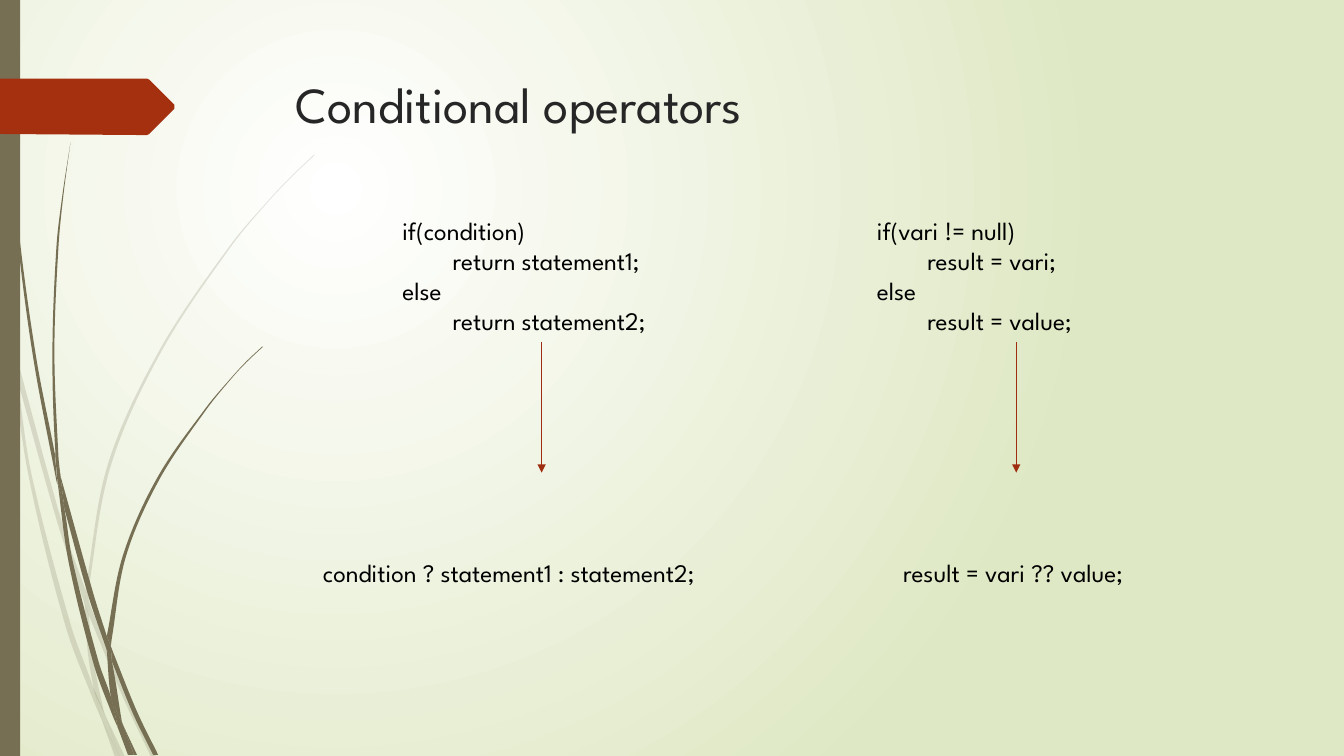
"""Build a slide that shows two conditional statements and their short operators."""
from math import dist

from lxml import etree
from pptx import Presentation
from pptx.dml.color import RGBColor
from pptx.enum.shapes import MSO_CONNECTOR, MSO_SHAPE
from pptx.enum.text import MSO_ANCHOR, PP_ALIGN
from pptx.oxml.ns import qn
from pptx.util import Cm, Pt

STRAIGHT = MSO_CONNECTOR.STRAIGHT
RECTANGLE = MSO_SHAPE.RECTANGLE
TOP = MSO_ANCHOR.TOP
LEFT = PP_ALIGN.LEFT

FONT = "League Spartan"
COLORS = {
    "centre": "FFFFFF", "edge": "DFE8C4", "stem": "766F54", "banner": "A53010",
    "arrow": "9E2E0F", "title": "262626", "code": "000000",
}
TITLE = "Conditional operators"
EXAMPLES = [
    {"left": 9.89, "short_left": 7.89, "short_width": 11.96,
     "code": [("if(condition)", 0), ("return statement1;", 1),
              ("else", 0), ("return statement2;", 1)],
     "short": "condition ? statement1 : statement2;"},
    {"left": 21.85, "short_left": 22.51, "short_width": 6.99,
     "code": [("if(vari != null)", 0), ("result = vari;", 1),
              ("else", 0), ("result = value;", 1)],
     "short": "result = vari ?? value;"},
]
CODE_TOP, CODE_WIDTH, CODE_HEIGHT = 5.29, 7.52, 3.33
ARROW_TOP, ARROW_BOTTOM = 8.63, 11.91
SHORT_TOP, SHORT_HEIGHT = 13.92, 1.02
INDENT = 1.27

GRID = 0.0254
BANNER = [(173, 108), (148, 133), (146, 134), (136, 134), (0, 133), (0, 78),
          (136, 78), (146, 78), (148, 79), (173, 104)]
PALE_BLADES = [
    ([(11, 350), (9, 322), (0, 282)], [(0, 299), (10, 344), (11, 350)]),
    ([(14, 345), (62, 520), (85, 586)], [(84, 599), (58, 522), (17, 376)]),
    ([(88, 596), (92, 607), (127, 692), (155, 751)], [(150, 751), (123, 694), (88, 610)]),
    ([(105, 711), (124, 751)], [(119, 751), (105, 711)]),
    ([(11, 350), (17, 376), (31, 469), (70, 619), (93, 683), (99, 707), (101, 714)],
     [(101, 714), (92, 693), (65, 621), (28, 470), (11, 350)]),
    ([(84, 599), (87, 646), (93, 683), (96, 692), (105, 711)],
     [(105, 711), (103, 706), (91, 646), (88, 610), (84, 599)]),
    ([(312, 153), (289, 175), (268, 197), (228, 244), (158, 348), (107, 461), (85, 584),
      (85, 586)],
     [(88, 596), (88, 584), (110, 462), (160, 349), (229, 245), (268, 198), (290, 175),
      (312, 154)]),
    ([(101, 714), (114, 751)], [(119, 751), (101, 714)]),
    ([(88, 610), (88, 596)], [(85, 586), (84, 599)]),
    ([(93, 683), (99, 707), (101, 714), (119, 751)], [(119, 751), (105, 711), (93, 683)]),
]
DARK_BLADES = [
    ([(3, 0), (4, 48), (7, 110), (17, 233), (33, 355), (56, 477), (57, 481)],
     [(55, 457), (55, 453), (36, 355), (19, 232), (8, 109), (5, 48), (4, 0)]),
    ([(60, 472), (93, 590), (106, 631)], [(106, 645), (88, 592), (64, 505)]),
    ([(110, 641), (113, 649), (136, 706), (157, 749)], [(152, 749), (132, 708), (111, 656)]),
    ([(57, 477), (64, 505), (72, 556), (98, 657), (110, 691), (116, 717), (117, 722)],
     [(117, 722), (111, 708), (93, 659), (68, 557), (57, 477)]),
    ([(70, 141), (62, 193), (56, 245), (52, 349), (55, 449), (60, 472)],
     [(60, 472), (58, 453), (54, 349), (58, 245), (63, 193), (70, 141)]),
    ([(122, 719), (136, 749)], [(133, 749), (122, 719)]),
    ([(57, 477), (64, 505)], [(60, 472), (55, 449), (55, 453), (57, 477)]),
    ([(260, 344), (245, 358), (231, 373), (204, 405), (156, 474), (122, 551), (106, 631)],
     [(110, 641), (111, 633), (125, 552), (158, 476), (205, 406), (231, 374), (245, 359),
      (261, 344)]),
    ([(117, 722), (127, 749)], [(131, 749), (117, 722)]),
    ([(106, 645), (110, 691), (116, 706), (122, 719)],
     [(122, 719), (121, 716), (111, 656), (106, 645)]),
    ([(106, 645), (111, 656)], [(110, 641), (106, 631)]),
    ([(110, 691), (116, 717), (117, 722), (130, 749)],
     [(133, 749), (122, 719), (116, 706), (110, 691)]),
]


def color(name):
    return RGBColor.from_string(COLORS[name])


def curve_controls(knots):
    """Give the two control points and the end of every curve through the knots."""
    gaps = [max(dist(a, b), 1) for a, b in zip(knots, knots[1:])]
    slopes = []
    for index in range(len(knots)):
        first, last = max(index - 1, 0), min(index + 1, len(knots) - 1)
        length = sum(gaps[first:last])
        slopes.append([(b - a) / length for a, b in zip(knots[first], knots[last])])
    for index, gap in enumerate(gaps):
        start, end = knots[index], knots[index + 1]
        yield (tuple(p + s * gap / 3 for p, s in zip(start, slopes[index])),
               tuple(p - s * gap / 3 for p, s in zip(end, slopes[index + 1])), end)


def paint(shape, name, opacity=100):
    shape.shadow.inherit = False
    shape.fill.solid()
    shape.fill.fore_color.rgb = color(name)
    shape.line.fill.background()
    if opacity < 100:
        tone = shape.element.spPr.find(qn("a:solidFill"))[0]
        etree.SubElement(tone, qn("a:alpha"), val=str(opacity * 1000))


def add_outline(page, points, name, opacity=100):
    corners = [(Cm(x * GRID), Cm(y * GRID)) for x, y in points]
    builder = page.shapes.build_freeform(*corners[0])
    builder.add_line_segments(corners[1:], close=True)
    shape = builder.convert_to_shape()
    paint(shape, name, opacity)
    return shape


def add_blade(page, edges, opacity):
    shape = add_outline(page, edges[0] + edges[1], "stem", opacity)
    outline = next(shape.element.iter(qn("a:path")))
    for child in list(outline):
        outline.remove(child)

    def draw(kind, *points):
        step = etree.SubElement(outline, qn(kind))
        for x, y in points:
            etree.SubElement(step, qn("a:pt"), x=str(Cm(x * GRID) - shape.left),
                             y=str(Cm(y * GRID) - shape.top))

    for edge, kind in zip(edges, ("a:moveTo", "a:lnTo")):
        draw(kind, edge[0])
        for controls in curve_controls(edge):
            draw("a:cubicBezTo", *controls)
    draw("a:close")


def add_text(page, lines, left, top, width, height, size=18, name="code"):
    box = page.shapes.add_textbox(Cm(left), Cm(top), Cm(width), Cm(height))
    frame = box.text_frame
    frame.word_wrap = True
    frame.vertical_anchor = TOP
    for index, (text, level) in enumerate(lines):
        para = frame.paragraphs[0] if index == 0 else frame.add_paragraph()
        para.alignment = LEFT
        para._p.get_or_add_pPr().set("marL", str(Cm(INDENT * level)))
        span = para.add_run()
        span.text = text
        span.font.name = FONT
        span.font.size = Pt(size)
        span.font.color.rgb = color(name)


def add_arrow(page, x, top, bottom):
    arrow = page.shapes.add_connector(STRAIGHT, Cm(x), Cm(top), Cm(x), Cm(bottom))
    arrow.line.color.rgb = color("arrow")
    arrow.line.width = Pt(0.75)
    etree.SubElement(arrow.line._get_or_add_ln(), qn("a:tailEnd"), type="triangle")
    etree.SubElement(arrow.element.spPr, qn("a:effectLst"))


def paint_background(page):
    fill = page.background.fill
    fill.gradient()
    for stop, name, position in zip(fill.gradient_stops, ("centre", "edge"), (0, 1)):
        stop.color.rgb = color(name)
        stop.position = position
    gradient = next(page.element.iter(qn("a:gradFill")))
    gradient.remove(gradient.find(qn("a:lin")))
    circle = etree.SubElement(gradient, qn("a:path"), {"path": "circle"})
    etree.SubElement(circle, qn("a:fillToRect"), l="50000", t="50000", r="100000", b="100000")


def main():
    deck = Presentation()
    deck.slide_width, deck.slide_height = Cm(33.87), Cm(19.05)
    page = deck.slides.add_slide(deck.slide_layouts[6])
    paint_background(page)
    for blades, opacity in ((PALE_BLADES, 20), (DARK_BLADES, 100)):
        for edges in blades:
            add_blade(page, edges, opacity)
    bar = page.shapes.add_shape(RECTANGLE, Cm(0), Cm(0), Cm(0.51), deck.slide_height)
    paint(bar, "stem")
    add_outline(page, BANNER, "banner")
    add_text(page, [(TITLE, 0)], 7.21, 1.73, 24.77, 3.56, size=36, name="title")
    for example in EXAMPLES:
        add_text(page, example["code"], example["left"], CODE_TOP, CODE_WIDTH, CODE_HEIGHT)
        add_arrow(page, example["left"] + CODE_WIDTH / 2, ARROW_TOP, ARROW_BOTTOM)
        add_text(page, [(example["short"], 0)], example["short_left"], SHORT_TOP,
                 example["short_width"], SHORT_HEIGHT)
    deck.save("out.pptx")


if __name__ == "__main__":
    main()
